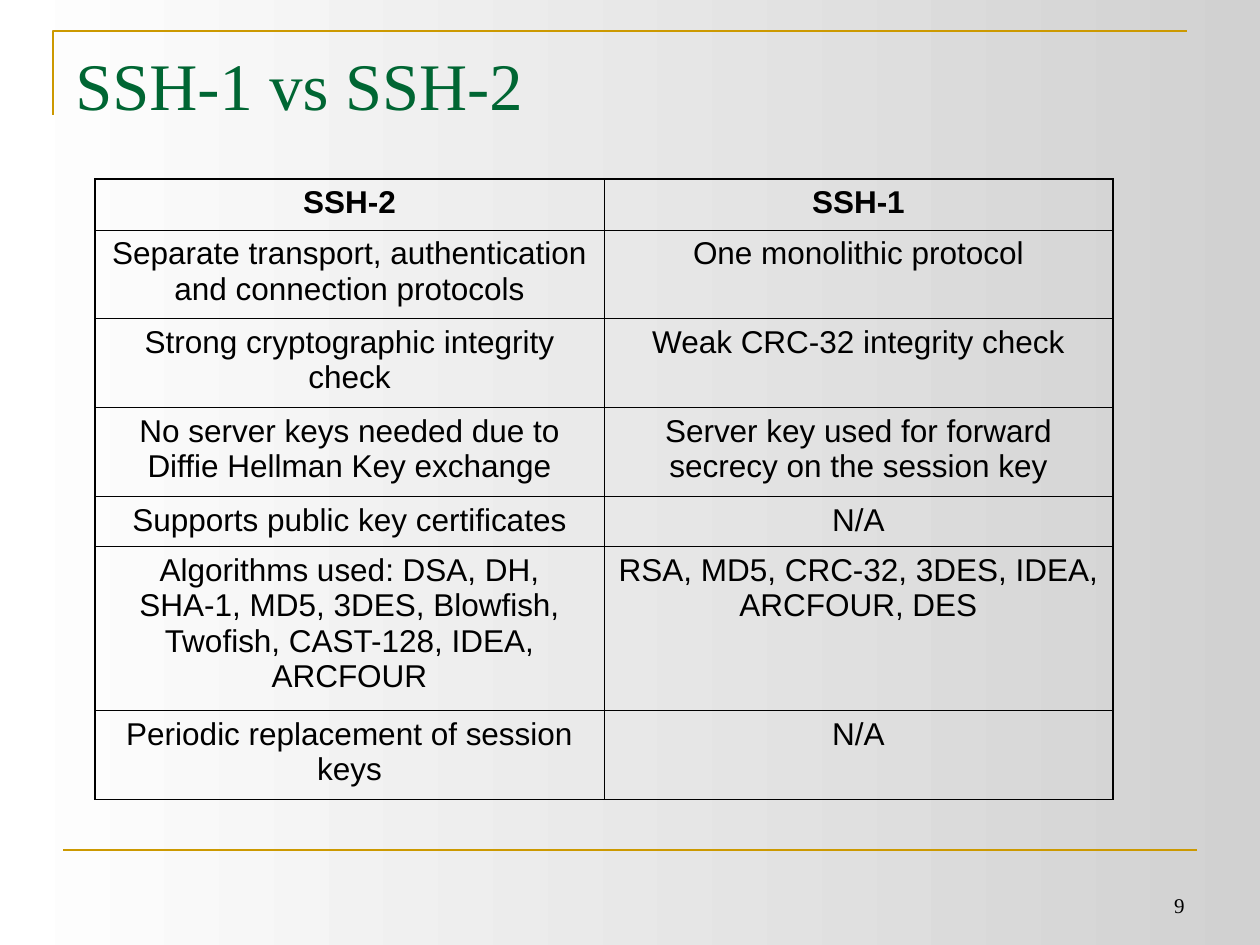
"""Builds a slide that compares SSH-1 with SSH-2 in a table."""
from lxml import etree
from pptx import Presentation
from pptx import util as u
from pptx.dml.color import RGBColor
from pptx.enum import shapes, text
from pptx.oxml import ns

EMU_PER_PX = 914400 / 126
SLIDE_SIZE = (1260, 945)
COLORS = {"left": "FFFFFF", "right": "D1D1D1", "rule": "CC9900", "title": "006633", "ink": "000000"}

TITLE = "SSH-1 vs SSH-2"
PAGE_NUMBER = "9"
ROWS = [
    ("SSH-2", "SSH-1"),
    ("Separate transport, authentication and connection protocols", "One monolithic protocol"),
    ("Strong cryptographic integrity check", "Weak CRC-32 integrity check"),
    ("No server keys needed due to Diffie Hellman Key exchange",
     "Server key used for forward secrecy on the session key"),
    ("Supports public key certificates", "N/A"),
    ("Algorithms used: DSA, DH, SHA-1, MD5, 3DES, Blowfish, Twofish, CAST-128, IDEA, ARCFOUR",
     "RSA, MD5, CRC-32, 3DES, IDEA, ARCFOUR, DES"),
    ("Periodic replacement of session keys", "N/A"),
]
ROW_HEIGHTS = [51, 88, 89, 89, 50, 164, 89]
TABLE_LEFT, TABLE_TOP, COLUMN_WIDTH = 95, 179, 509
CORNER_RULE = [(53, 115), (53, 31), (1187, 31)]
BOTTOM_RULE = [(63, 850), (1197, 850)]
TITLE_BOX = (63, 38, 1134, 158)
NUMBER_BOX = (903, 861, 294, 63)
OUTER_LINE, INNER_LINE = 1.08, 0.45


def px(value):
    return u.Emu(round(value * EMU_PER_PX))


def rgb(name):
    return RGBColor.from_string(COLORS[name])


def write(frame, content, size, font="Arial", color="ink", bold=False,
          align=text.PP_ALIGN.LEFT, space_before=0):
    frame.word_wrap = True
    paragraph = frame.paragraphs[0]
    paragraph.alignment = align
    paragraph.space_before = u.Pt(space_before)
    run = paragraph.add_run()
    run.text = content
    run.font.size = u.Pt(size)
    run.font.name = font
    run.font.bold = bold
    run.font.color.rgb = rgb(color)


def add_text_box(slide, box, content, anchor=text.MSO_ANCHOR.TOP, **style):
    frame = slide.shapes.add_textbox(*map(px, box)).text_frame
    frame.vertical_anchor = anchor
    write(frame, content, font="Times New Roman", **style)


def paint_background(slide):
    fill = slide.background.fill
    fill.gradient()
    fill.gradient_angle = 0
    for stop, name in zip(fill.gradient_stops, ("left", "right")):
        stop.color.rgb = rgb(name)


def add_rules(slide):
    builder = slide.shapes.build_freeform(*CORNER_RULE[0], scale=EMU_PER_PX)
    builder.add_line_segments(CORNER_RULE[1:], close=False)
    corner = builder.convert_to_shape()
    corner.fill.background()
    corner.shadow.inherit = False
    start, end = BOTTOM_RULE
    bottom = slide.shapes.add_connector(
        shapes.MSO_CONNECTOR.STRAIGHT, *map(px, start + end))
    for shape in (corner, bottom):
        shape.line.color.rgb = rgb("rule")
        shape.line.width = u.Pt(1.5)
    etree.SubElement(bottom.element.spPr, ns.qn("a:effectLst"))


def set_borders(cell, outer_sides):
    properties = cell._tc.get_or_add_tcPr()
    for index, side in enumerate("LRTB"):
        width = OUTER_LINE if side in outer_sides else INNER_LINE
        line = etree.Element(ns.qn(f"a:ln{side}"), w=str(u.Pt(width)))
        fill = etree.SubElement(line, ns.qn("a:solidFill"))
        etree.SubElement(fill, ns.qn("a:srgbClr"), val=COLORS["ink"])
        properties.insert(index, line)


def add_comparison(slide):
    row_count, column_count = len(ROWS), len(ROWS[0])
    table = slide.shapes.add_table(
        row_count, column_count, px(TABLE_LEFT), px(TABLE_TOP),
        px(COLUMN_WIDTH * column_count), px(sum(ROW_HEIGHTS))).table
    table.first_row = table.horz_banding = False
    for column in table.columns:
        column.width = px(COLUMN_WIDTH)
    for r, (height, row) in enumerate(zip(ROW_HEIGHTS, ROWS)):
        table.rows[r].height = px(height)
        for c, content in enumerate(row):
            cell = table.cell(r, c)
            cell.fill.background()
            write(cell.text_frame, content, size=18, bold=r == 0,
                  align=text.PP_ALIGN.CENTER, space_before=4.5)
            edges = {"L": c == 0, "R": c == column_count - 1,
                     "T": r == 0, "B": r == row_count - 1}
            set_borders(cell, [side for side, outer in edges.items() if outer])


def main():
    presentation = Presentation()
    presentation.slide_width, presentation.slide_height = map(px, SLIDE_SIZE)
    slide = presentation.slides.add_slide(presentation.slide_layouts[6])
    paint_background(slide)
    add_rules(slide)
    add_text_box(slide, TITLE_BOX, TITLE, size=38, color="title")
    add_comparison(slide)
    add_text_box(slide, NUMBER_BOX, PAGE_NUMBER, size=12,
                 anchor=text.MSO_ANCHOR.BOTTOM, align=text.PP_ALIGN.RIGHT)
    presentation.save("out.pptx")


if __name__ == "__main__":
    main()
